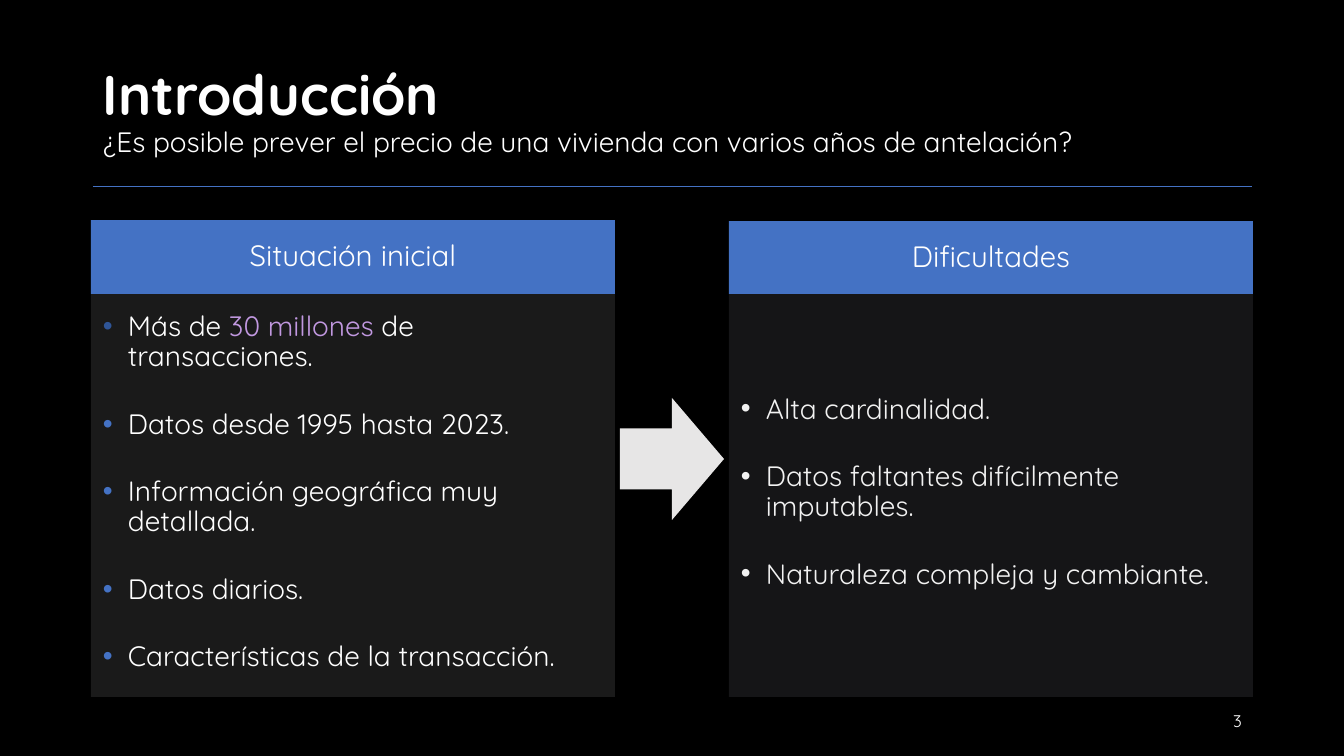
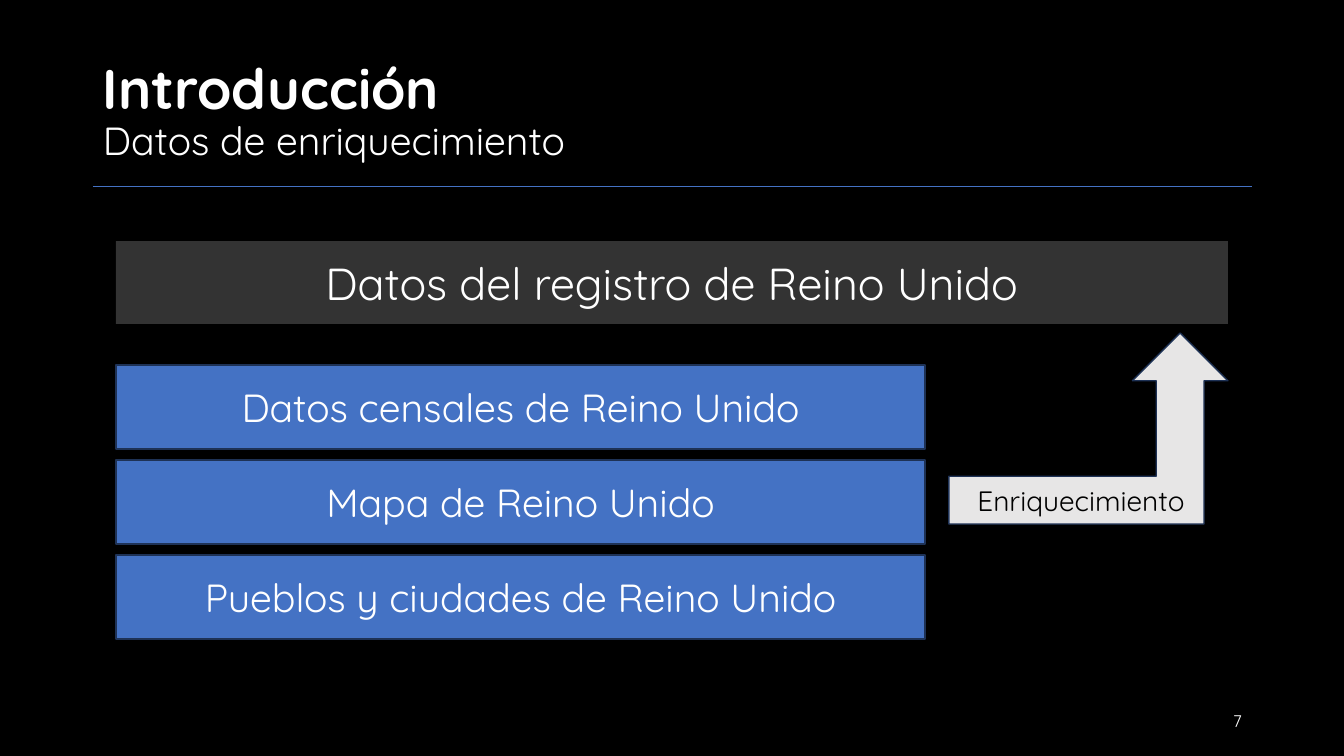
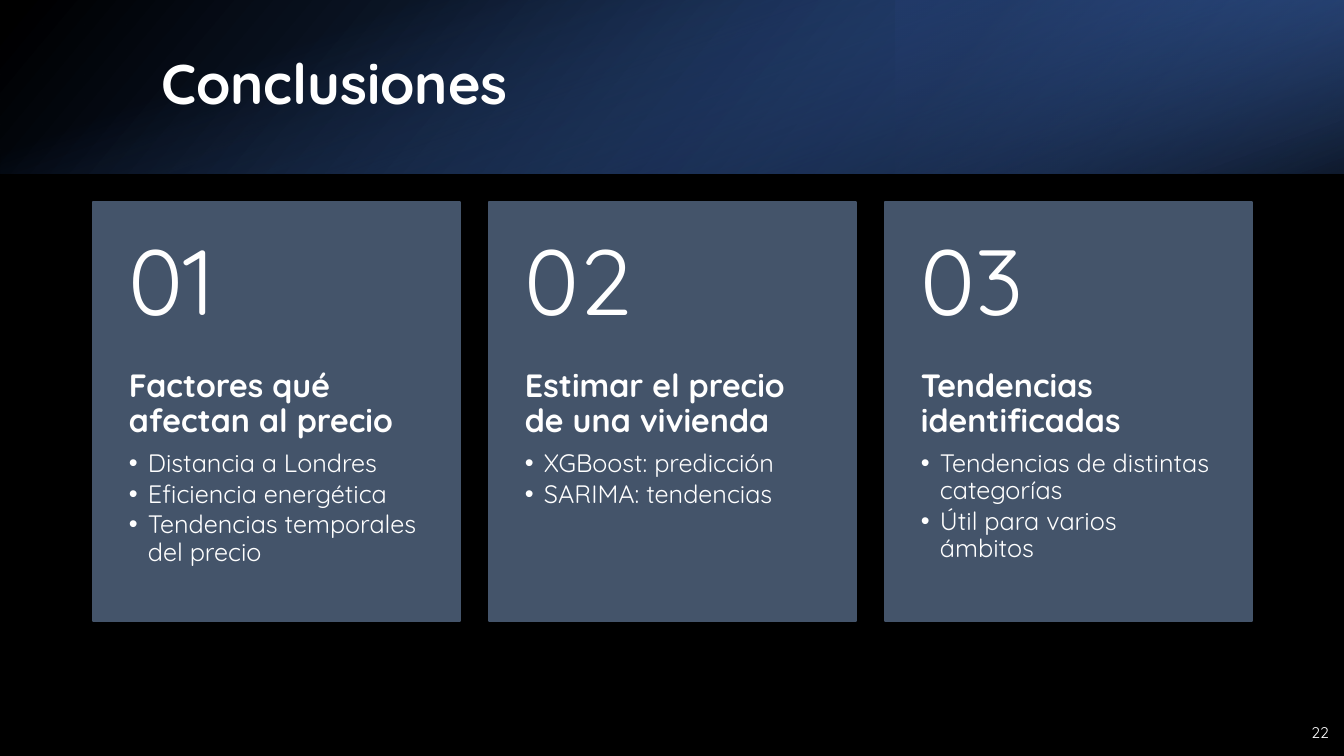
from pptx import Presentation
from pptx.dml.color import RGBColor
from pptx.enum.shapes import MSO_CONNECTOR, MSO_SHAPE
from pptx.enum.text import MSO_ANCHOR, MSO_AUTO_SIZE, PP_ALIGN
from pptx.oxml import parse_xml
from pptx.oxml.ns import nsdecls, qn
from pptx.util import Emu, Pt
from lxml.etree import SubElement

WIDTH, HEIGHT = 1344, 756
EMU_PER_PX = 12192000 / WIDTH

FONT = "Quicksand"
BLACK = RGBColor(0x00, 0x00, 0x00)
WHITE = RGBColor(0xFF, 0xFF, 0xFF)
SOFT_WHITE = RGBColor(0xF2, 0xF2, 0xF2)
LIGHT_GREY = RGBColor(0xE7, 0xE6, 0xE6)
PALE_BLUE = RGBColor(0xCF, 0xD5, 0xEA)
BLUE = RGBColor(0x44, 0x72, 0xC4)
MID_BLUE = RGBColor(0x2F, 0x55, 0x97)
NAVY = RGBColor(0x20, 0x38, 0x64)
OUTLINE = RGBColor(0x1E, 0x32, 0x56)
SLATE = RGBColor(0x44, 0x54, 0x6A)
LILAC = RGBColor(0xC1, 0x98, 0xE0)

BAND_HEIGHT = 174
PANEL_BODY_HEIGHT = 403
TITLE_BOX = (93, 40, 1159, 146)
NUMBER_BOX = (950, 701, 302, 40)


def px(length):
    return Emu(round(length * EMU_PER_PX))


def place(box):
    return [px(length) for length in box]


# Text
def prepare(shape, anchor=MSO_ANCHOR.MIDDLE, inset=(10, 5, 10, 5)):
    frame = shape.text_frame
    frame.word_wrap = True
    frame.auto_size = MSO_AUTO_SIZE.NONE
    frame.vertical_anchor = anchor
    (frame.margin_left, frame.margin_top,
     frame.margin_right, frame.margin_bottom) = place(inset)
    return frame


def write(frame, content, size=20, color=WHITE, bold=False,
          align=PP_ALIGN.LEFT, spacing=None, before=0, after=0,
          bullet=None, indent=0):
    """Append a paragraph; content is a string or (text, format) runs."""
    first = frame.paragraphs[0]
    paragraph = frame.add_paragraph() if first.runs else first
    paragraph.alignment = align
    paragraph.space_before, paragraph.space_after = Pt(before), Pt(after)
    if spacing:
        paragraph.line_spacing = spacing
    if bullet is not None:
        properties = paragraph._p.get_or_add_pPr()
        properties.set("marL", str(px(indent)))
        properties.set("indent", str(-px(indent)))
        tint = SubElement(properties, qn("a:buClr"))
        SubElement(tint, qn("a:srgbClr")).set("val", str(bullet))
        SubElement(properties, qn("a:buFont")).set("typeface", "Arial")
        SubElement(properties, qn("a:buChar")).set("char", "•")
    runs = [(content, {})] if isinstance(content, str) else content
    for text, style in runs:
        run = paragraph.add_run()
        run.text = text.rstrip("\n")
        run.font.name = FONT
        run.font.size = Pt(style.get("size", size))
        run.font.bold = style.get("bold", bold)
        run.font.color.rgb = style.get("color", color)
        if text.endswith("\n"):
            paragraph.add_line_break()


# Shapes
def draw(slide, box, fill, line=None, alpha=None, preset=MSO_SHAPE.RECTANGLE):
    shape = slide.shapes.add_shape(preset, *place(box))
    shape.shadow.inherit = False
    shape.fill.solid()
    shape.fill.fore_color.rgb = fill
    if alpha is not None:
        tint = shape._element.spPr.find(qn("a:solidFill"))[0]
        SubElement(tint, qn("a:alpha")).set("val", str(alpha * 1000))
    if line is None:
        shape.line.fill.background()
    else:
        shape.line.color.rgb = line
        shape.line.width = Pt(1)
    return shape


def draw_gradient(slide, box, stops, angle, rotation=0, flip=False):
    shape = draw(slide, box, BLACK)
    shape.rotation = rotation
    properties = shape._element.spPr
    if flip:
        properties.xfrm.set("flipH", "1")
    marks = "".join(
        f'<a:gs pos="{position * 1000}"><a:srgbClr val="{color}">'
        f'<a:alpha val="{alpha * 1000}"/></a:srgbClr></a:gs>'
        for position, color, alpha in stops)
    solid = properties.find(qn("a:solidFill"))
    properties.replace(solid, parse_xml(
        f'<a:gradFill {nsdecls("a")} rotWithShape="1"><a:gsLst>{marks}</a:gsLst>'
        f'<a:lin ang="{angle * 60000}" scaled="0"/></a:gradFill>'))


# Parts shared by the slides
def add_slide(prs):
    return prs.slides.add_slide(prs.slide_layouts[5])


def add_title(slide, box, content):
    title = slide.shapes.title
    title.left, title.top, title.width, title.height = place(box)
    write(prepare(title), content, size=40, bold=True, spacing=0.9)


def add_number(slide, number, box=NUMBER_BOX, size=12):
    label = slide.shapes.add_textbox(*place(box))
    write(prepare(label), number, size=size, align=PP_ALIGN.RIGHT)


def add_heading(slide, subtitle, size, number):
    left, top, width, height = TITLE_BOX
    bottom = px(top + height)
    rule = slide.shapes.add_connector(
        MSO_CONNECTOR.STRAIGHT, px(left), bottom, px(left + width), bottom)
    rule.line.color.rgb = BLUE
    rule.line.width = Pt(0.5)
    SubElement(rule._element.spPr, qn("a:effectLst"))
    add_title(slide, TITLE_BOX,
              [("Introducción\n", {}), (subtitle, {"size": size, "bold": False})])
    add_number(slide, number)


# Headed panel with a bulleted list
def add_panel(slide, box, heading, items, bullets, color, tint):
    left, top, width, height = box
    header_height = height - PANEL_BODY_HEIGHT
    body = draw(slide, (left, top + header_height, width, PANEL_BODY_HEIGHT),
                tint, alpha=10)
    frame = prepare(body, inset=(12, 12, 16, 18))
    for index, (item, bullet) in enumerate(zip(items, bullets)):
        write(frame, item, color=color, spacing=0.9, bullet=bullet,
              indent=25, before=26.5 if index else 0)
    header = draw(slide, (left, top, width, header_height), BLUE)
    write(prepare(header, inset=(16, 9, 16, 9)), heading, size=21,
          align=PP_ALIGN.CENTER, spacing=0.9)


# Centred label in a bar
def add_bar(slide, box, label, size, fill, **style):
    bar = draw(slide, box, fill, **style)
    write(prepare(bar), label, size=size, align=PP_ALIGN.CENTER)


# Numbered card
def add_card(slide, box, number, heading, items):
    left, top, width, height = box
    number_height = round(height * 0.4)
    draw(slide, box, SLATE, line=SLATE)
    details = slide.shapes.add_textbox(
        *place((left, top + number_height, width, height - number_height)))
    frame = prepare(details, MSO_ANCHOR.TOP, (36, 0, 36, 36))
    write(frame, heading, size=23, bold=True, spacing=0.9, after=8)
    for item in items:
        write(frame, item, size=18, spacing=0.9, after=2.5,
              bullet=WHITE, indent=19)
    numeral = slide.shapes.add_textbox(*place((left, top, width, number_height)))
    write(prepare(numeral, inset=(36, 18, 36, 18)), number, size=66, spacing=0.9)


# Blue band across the top
def add_band(slide):
    draw_gradient(slide, (0, 0, WIDTH, BAND_HEIGHT),
                  [(0, BLACK, 96), (100, MID_BLUE, 100)], 140, flip=True)
    third = WIDTH // 3
    draw_gradient(slide, (WIDTH - third, 0, third, BAND_HEIGHT),
                  [(19, NAVY, 68), (100, BLUE, 79)], 320, rotation=180, flip=True)
    # Turned a quarter about its centre, this one spans the band
    offset = (WIDTH - BAND_HEIGHT) // 2
    draw_gradient(slide, (offset, -offset, BAND_HEIGHT, WIDTH),
                  [(23, BLUE, 0), (99, BLACK, 74)], 340, rotation=90)


def build_situation(prs):
    slide = add_slide(prs)
    add_heading(slide, "¿Es posible prever el precio de una vivienda "
                "con varios años de antelación?", 20, "3")
    facts = [
        [("Más de ", {}), ("30 millones ", {"color": LILAC}),
         ("de transacciones.", {})],
        "Datos desde 1995 hasta 2023.",
        "Información geográfica muy detallada.",
        "Datos diarios.",
        "Características de la transacción.",
    ]
    add_panel(slide, (91, 220, 524, 477), "Situación inicial", facts,
              [MID_BLUE] + [BLUE] * 4, WHITE, WHITE)
    difficulties = ["Alta cardinalidad.",
                    "Datos faltantes difícilmente imputables.",
                    "Naturaleza compleja y cambiante."]
    add_panel(slide, (729, 221, 524, 476), "Dificultades", difficulties,
              [SOFT_WHITE] * 3, SOFT_WHITE, PALE_BLUE)
    draw(slide, (620, 398, 104, 122), LIGHT_GREY, preset=MSO_SHAPE.RIGHT_ARROW)


def build_enrichment(prs):
    slide = add_slide(prs)
    add_heading(slide, "Datos de enriquecimiento", 28, "7")
    add_bar(slide, (116, 241, 1112, 83), "Datos del registro de Reino Unido",
            32, WHITE, alpha=20)
    sources = ["Datos censales de Reino Unido", "Mapa de Reino Unido",
               "Pueblos y ciudades de Reino Unido"]
    for row, source in enumerate(sources):
        add_bar(slide, (116, 365 + 95 * row, 809, 84), source, 28, BLUE,
                line=OUTLINE)
    arrow = draw(slide, (949, 333, 279, 191), LIGHT_GREY, line=OUTLINE,
                 preset=MSO_SHAPE.BENT_UP_ARROW)
    write(prepare(arrow, inset=(19, 5, 10, 5)), "Enriquecimiento",
          color=BLACK, align=PP_ALIGN.CENTER)


def build_conclusions(prs):
    slide = add_slide(prs)
    add_band(slide)
    # Bring the title in front of the band
    slide.shapes._spTree.append(slide.shapes.title._element)
    add_title(slide, (151, 38, 1107, 97), "Conclusiones")
    add_number(slide, "22", (1290, 712, 49, 40), 11)
    cards = [
        ("Factores qué afectan al precio",
         ["Distancia a Londres", "Eficiencia energética",
          "Tendencias temporales del precio"]),
        ("Estimar el precio de una vivienda",
         ["XGBoost: predicción", "SARIMA: tendencias"]),
        ("Tendencias identificadas",
         ["Tendencias de distintas categorías", "Útil para varios ámbitos"]),
    ]
    for column, (heading, items) in enumerate(cards):
        add_card(slide, (93 + 396 * column, 202, 367, 419),
                 f"{column + 1:02}", heading, items)


def main():
    prs = Presentation()
    prs.slide_width, prs.slide_height = px(WIDTH), px(HEIGHT)
    master = prs.slide_master
    master.background.fill.solid()
    master.background.fill.fore_color.rgb = BLACK
    master.element.xpath("p:txStyles/p:titleStyle//a:defRPr")[0].set("sz", "4000")
    build_situation(prs)
    build_enrichment(prs)
    build_conclusions(prs)
    prs.save("out.pptx")


if __name__ == "__main__":
    main()
